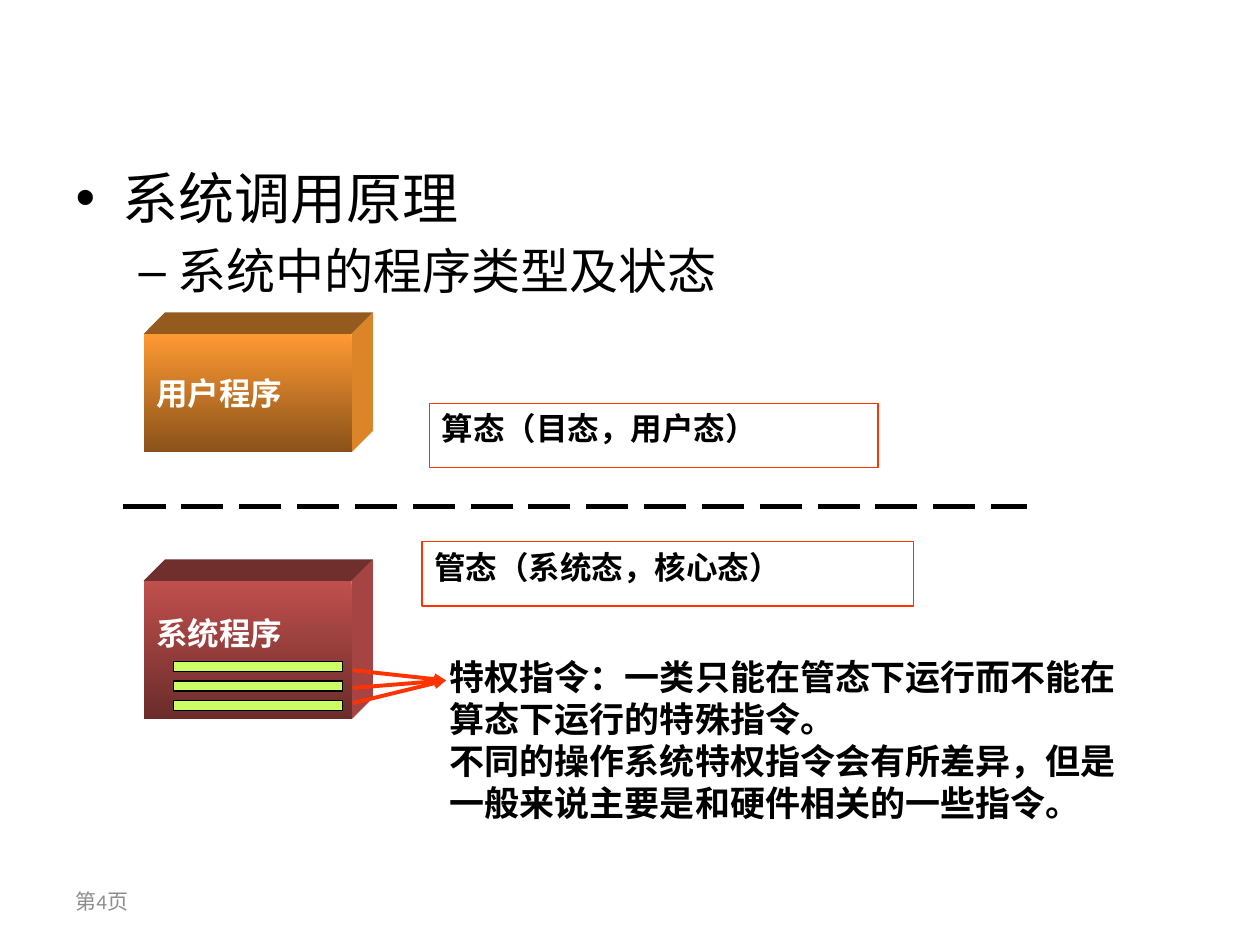
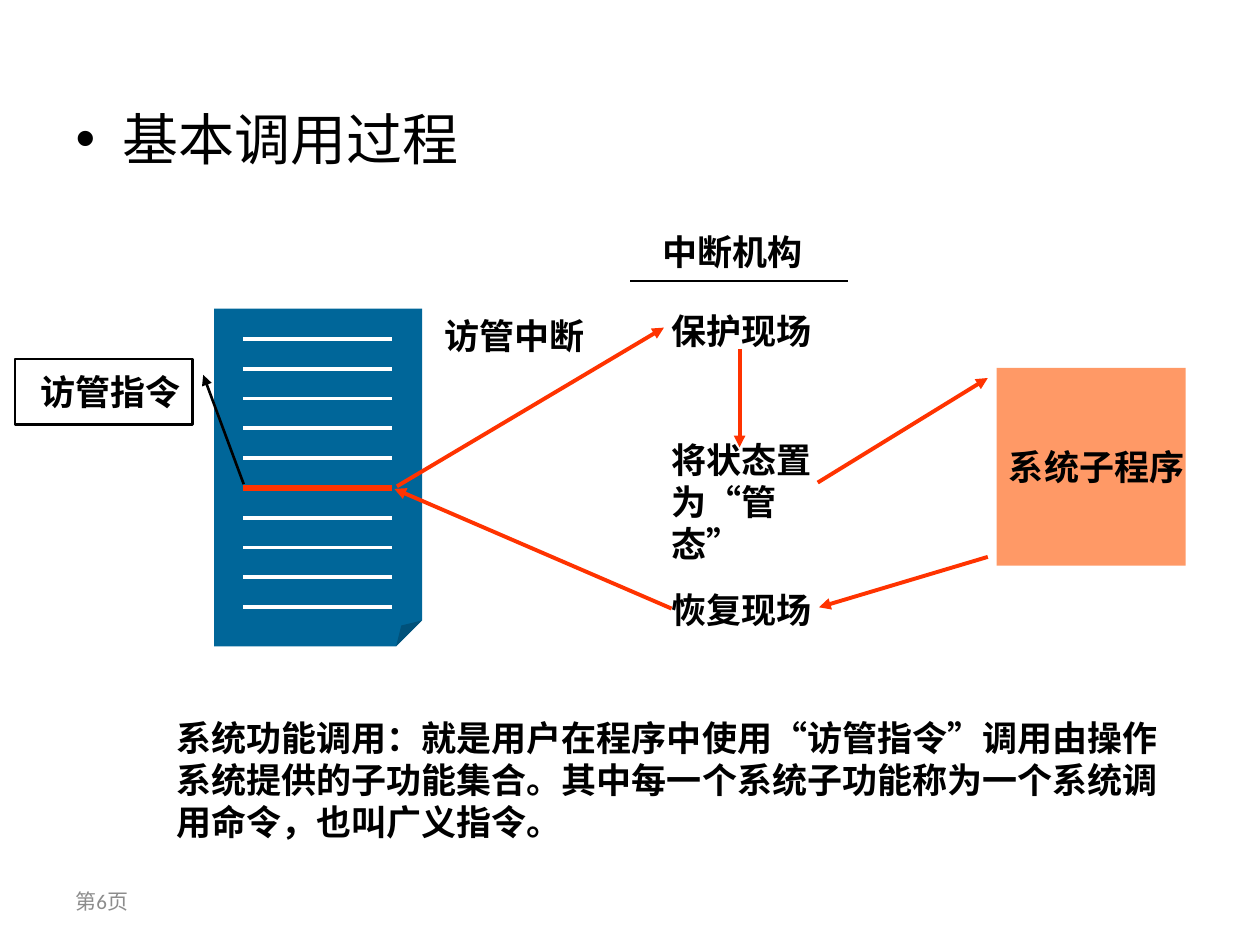
from dataclasses import dataclass

from lxml.etree import SubElement
from pptx import Presentation
from pptx.dml.color import RGBColor
from pptx.enum.dml import MSO_LINE
from pptx.enum.shapes import MSO_CONNECTOR, MSO_SHAPE
from pptx.enum.text import MSO_ANCHOR, PP_ALIGN
from pptx.oxml.ns import qn
from pptx.util import Inches, Pt


@dataclass(frozen=True)
class Theme:
    font: str = "Calibri"
    black: str = "000000"
    white: str = "FFFFFF"
    grey: str = "8C8C8C"
    accent: str = "FF3300"
    lime: str = "CCFF66"
    page: str = "006699"
    salmon: str = "FF9966"
    # Block faces: front top, front bottom, lid, side
    orange: tuple = ("FF9933", "8A521A", "945A1E", "DC8428")
    red: tuple = ("C0504D", "6A2C2A", "702F2D", "A54442")
    h1: int = 32
    h2: int = 28
    note: int = 20
    label: int = 18
    footer: int = 12


T = Theme()
MIDDLE, TOP = MSO_ANCHOR.MIDDLE, MSO_ANCHOR.TOP


def rgb(color):
    return RGBColor.from_string(color)


# Basic parts
def write(tf, text, size=T.note, color=T.black, bold=True, align=None,
          anchor=TOP, right=0.1, bottom=0.05):
    """Fill a text frame, one paragraph per line of text."""
    tf.word_wrap, tf.vertical_anchor = True, anchor
    tf.margin_right, tf.margin_bottom = Inches(right), Inches(bottom)
    for i, line in enumerate(text.split("\n")):
        p = tf.add_paragraph() if i else tf.paragraphs[0]
        p.alignment = align or PP_ALIGN.LEFT
        r = p.add_run()
        r.text = line
        r.font.name, r.font.size, r.font.bold = T.font, Pt(size), bold
        r.font.color.rgb = rgb(color)


def textbox(s, box, text, **fmt):
    tb = s.shapes.add_textbox(*map(Inches, box))
    write(tb.text_frame, text, **fmt)


def paint(sp, fill=None, line=None, width=0.75):
    sp.shadow.inherit = False
    if fill:
        sp.fill.solid()
        sp.fill.fore_color.rgb = rgb(fill)
    else:
        sp.fill.background()
    if line:
        sp.line.color.rgb, sp.line.width = rgb(line), Pt(width)
    else:
        sp.line.fill.background()


def shape(s, kind, box, **look):
    sp = s.shapes.add_shape(kind, *map(Inches, box))
    paint(sp, **look)
    return sp


def adjust(sp, **values):
    """Set named shape guides, as fractions of the shape's size."""
    guides = sp.element.spPr.find(qn("a:prstGeom")).find(qn("a:avLst"))
    for gd in list(guides):
        guides.remove(gd)
    for name, value in values.items():
        SubElement(guides, qn("a:gd"), name=name, fmla=f"val {round(value * 100000)}")


def arrowhead(sp, end="tailEnd"):
    SubElement(sp.element.spPr.find(qn("a:ln")), qn("a:" + end), type="triangle")


def line(s, start, end, color=T.accent, width=2.25, arrow=False, dash=None):
    c = s.shapes.add_connector(MSO_CONNECTOR.STRAIGHT, *map(Inches, (*start, *end)))
    c.line.color.rgb, c.line.width = rgb(color), Pt(width)
    if dash:
        c.line.dash_style = dash
    if arrow:
        arrowhead(c)
    SubElement(c.element.spPr, qn("a:effectLst"))


def face(s, points, color):
    points = [(Inches(x), Inches(y)) for x, y in points]
    fb = s.shapes.build_freeform(*points[0])
    fb.add_line_segments(points[1:])
    paint(fb.convert_to_shape(), fill=color)


# Shared slide frame: bullet list and page number
def base_slide(prs, top, bullets, page):
    s = prs.slides.add_slide(prs.slide_layouts[1])
    title, body = s.placeholders[0], s.placeholders[1]
    title.element.getparent().remove(title.element)
    body.left, body.top = Inches(0.5), Inches(top)
    body.width, body.height = Inches(9), Inches(6.7 - top)
    tf = body.text_frame
    for level, text in enumerate(bullets):
        p = tf.add_paragraph() if level else tf.paragraphs[0]
        p.level = level
        r = p.add_run()
        r.text = text
        r.font.name, r.font.size = T.font, Pt((T.h1, T.h2)[level])
        r.font.color.rgb = rgb(T.black)
    textbox(s, (0.5, 6.95, 2.33, 0.4), f"第{page}页", size=T.footer,
            color=T.grey, bold=False, anchor=MIDDLE)
    return s


# Slide: program types and states
def block(s, box, text, faces, bottom=0.05):
    x, y, w, h = box
    d = 0.17
    top, low, lid, side = faces
    face(s, [(x, y), (x + d, y - d), (x + w + d, y - d), (x + w, y)], lid)
    face(s, [(x + w, y), (x + w + d, y - d),
             (x + w + d, y + h - d), (x + w, y + h)], side)
    sp = shape(s, MSO_SHAPE.RECTANGLE, box)
    sp.fill.gradient()
    sp.fill.gradient_angle = 270
    for stop, color, at in zip(sp.fill.gradient_stops, (top, low), (0, 1)):
        stop.color.rgb, stop.position = rgb(color), at
    write(sp.text_frame, text, size=T.label, color=T.white,
          anchor=MIDDLE, bottom=bottom)


def state_label(s, box, text):
    sp = shape(s, MSO_SHAPE.RECTANGLE, box, line=T.accent)
    write(sp.text_frame, text, size=T.label)


def privileged(s, box):
    """Instruction bars in the system block, pointing at their definition."""
    x, y, w, h = box
    for i in range(3):
        shape(s, MSO_SHAPE.RECTANGLE, (x, y + i * 0.155, w, h),
              fill=T.lime, line=T.black)
    textbox(s, (x + 2.09, y - 0.1, 5.62, 1.43),
            "特权指令：一类只能在管态下运行而不能在算态下运行的特殊指令。\n"
            "不同的操作系统特权指令会有所差异，但是一般来说主要是和硬件相关的一些指令。")
    for dy in (0.07, 0.21, 0.33):
        line(s, (x + 1.42, y + dy), (x + 2.16, y + 0.15), arrow=True)


def states_slide(prs):
    s = base_slide(prs, 1.25, ["系统调用原理", "系统中的程序类型及状态"], 4)
    block(s, (1.14, 4.61, 1.65, 1.1), "系统程序", T.red, bottom=0.33)
    block(s, (1.14, 2.65, 1.65, 0.94), "用户程序", T.orange)
    line(s, (0.98, 4.02), (8.15, 4.02), T.black, 3, dash=MSO_LINE.LONG_DASH)
    state_label(s, (3.41, 3.2, 3.56, 0.51), "算态（目态，用户态）")
    state_label(s, (3.35, 4.3, 3.9, 0.51), "管态（系统态，核心态）")
    privileged(s, (1.38, 5.25, 1.34, 0.08))


# Slide: basic call process
def program_page(s, box):
    """Page of code lines; the sixth is the supervisor call."""
    x, y, w, h = box
    sp = shape(s, MSO_SHAPE.FOLDED_CORNER, box, fill=T.page)
    adjust(sp, adj=0.125)
    for i in range(10):
        ly = y + 0.24 + i * 0.2365
        color, width = (T.accent, 3) if i == 5 else (T.white, 2.25)
        line(s, (x + 0.23, ly), (x + w - 0.24, ly), color, width)


def callout(s, box, text):
    sp = shape(s, MSO_SHAPE.LINE_CALLOUT_1, box, line=T.black, width=1.5)
    adjust(sp, adj1=0.242, adj2=1.059, adj3=1.909, adj4=1.287)
    arrowhead(sp, "headEnd")
    write(sp.text_frame, text, align=PP_ALIGN.RIGHT, anchor=MIDDLE)


def interrupt_steps(s, x, y):
    """Column of steps under the interrupt mechanism heading."""
    line(s, (x - 0.23, y + 0.45), (x + 1.5, y + 0.45), T.black, 1.5)
    for dx, dy, h, text in [(-0.07, 0, 0.43, "中断机构"),
                            (0, 0.63, 0.43, "保护现场"),
                            (0, 1.65, 0.77, "将状态置\n为“管态”"),
                            (0, 2.84, 0.43, "恢复现场")]:
        textbox(s, (x + dx, y + dy, 1.31, h), text, right=0.05)


def call_slide(prs):
    s = base_slide(prs, 0.78, ["基本调用过程"], 6)
    program_page(s, (1.7, 2.45, 1.65, 2.68))
    callout(s, (0.12, 2.85, 1.41, 0.52), "访管指令")
    interrupt_steps(s, 5.23, 1.78)
    textbox(s, (3.43, 2.45, 1.31, 0.43), "访管中断", right=0.05)
    routine = shape(s, MSO_SHAPE.RECTANGLE, (7.91, 2.92, 1.5, 1.57), fill=T.salmon)
    write(routine.text_frame, "系统子程序", anchor=MIDDLE, right=0)
    # Flow of control, in order
    for start, end in [((3.15, 3.86), (5.27, 2.6)), ((5.87, 2.77), (5.87, 3.55)),
                       ((6.49, 3.83), (7.84, 3)), ((7.84, 4.42), (6.5, 4.82)),
                       ((5.33, 4.83), (3.13, 3.88))]:
        line(s, start, end, arrow=True)
    textbox(s, (1.3, 5.64, 8.11, 1.1),
            "系统功能调用：就是用户在程序中使用“访管指令”调用由操作系统提供的子功能集合。"
            "其中每一个系统子功能称为一个系统调用命令，也叫广义指令。")


def main():
    prs = Presentation()
    prs.slide_width, prs.slide_height = Inches(10), Inches(7.5)
    states_slide(prs)
    call_slide(prs)
    prs.save("out.pptx")


if __name__ == "__main__":
    main()
